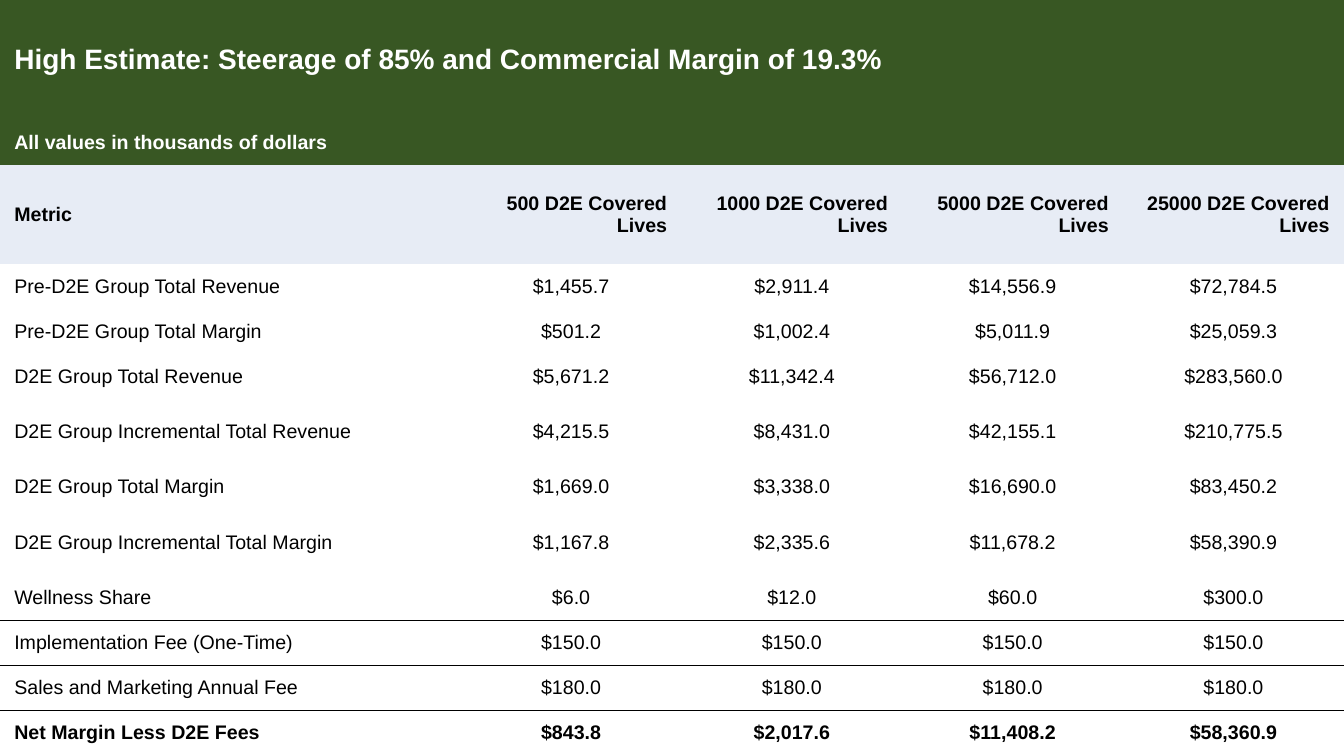
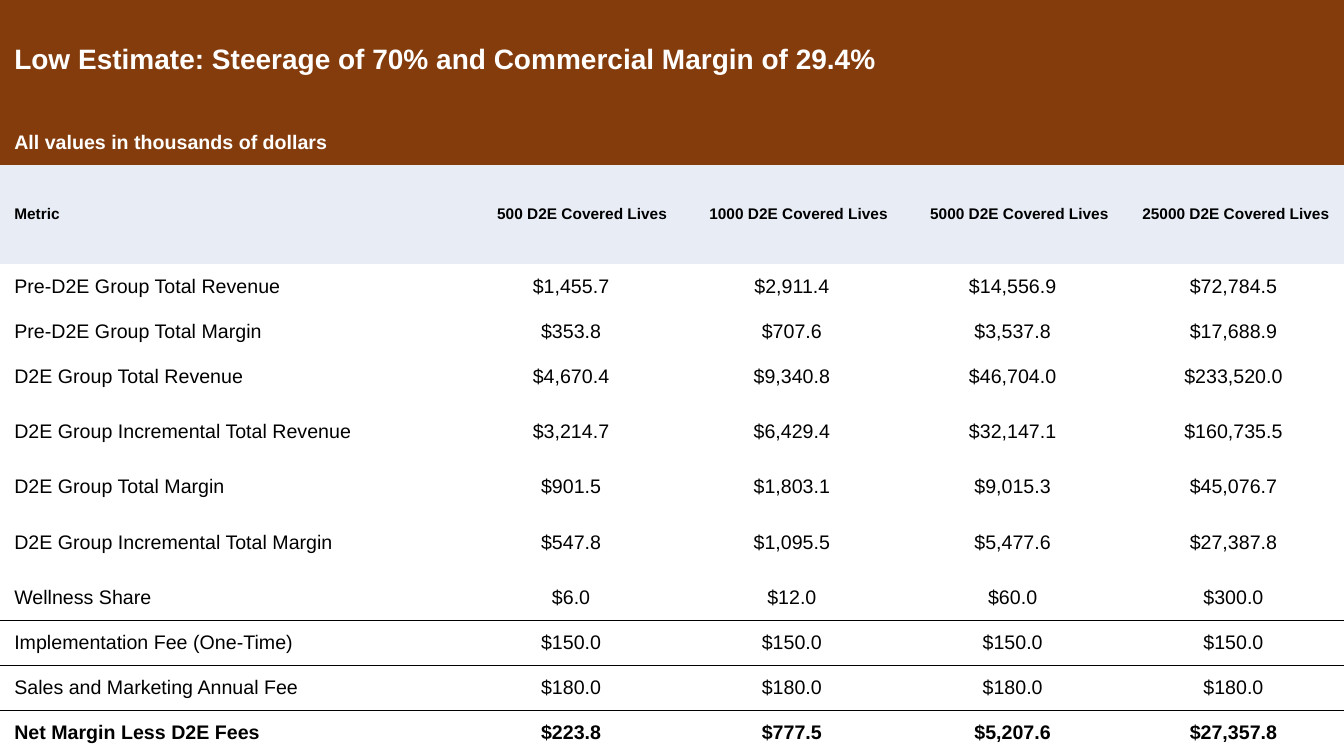
from dataclasses import dataclass

from lxml.etree import SubElement
from pptx import Presentation
from pptx.dml.color import RGBColor
from pptx.enum.text import MSO_ANCHOR, PP_ALIGN
from pptx.oxml import parse_xml
from pptx.oxml.ns import nsdecls, qn
from pptx.util import Cm, Pt


@dataclass(frozen=True)
class Theme:
    font: str = "Arial"
    green: str = "385723"
    brown: str = "843C0C"
    pale: str = "E7ECF5"
    white: str = "FFFFFF"
    black: str = "000000"
    title_size: int = 20
    body_size: int = 14
    small_size: int = 11
    rule_width: int = 1


@dataclass(frozen=True)
class Estimate:
    title: str
    band: str
    heading_size: int
    figures: dict


THEME = Theme()

# Page and table grid, in centimetres
WIDTH, HEIGHT = 33.87, 19.05
PADDING = 0.36
METRIC_WIDTH = 11.61
TITLE_HEIGHT, HEADING_HEIGHT, TALL_HEIGHT = 3.02, 2.49, 1.65
TITLE_ROW, NOTE_ROW, HEADING_ROW, FIRST_METRIC_ROW = range(4)

NOTE = "All values in thousands of dollars"
LIVES = (500, 1000, 5000, 25000)
METRICS = (
    "Pre-D2E Group Total Revenue",
    "Pre-D2E Group Total Margin",
    "D2E Group Total Revenue",
    "D2E Group Incremental Total Revenue",
    "D2E Group Total Margin",
    "D2E Group Incremental Total Margin",
    "Wellness Share",
    "Implementation Fee (One-Time)",
    "Sales and Marketing Annual Fee",
    "Net Margin Less D2E Fees",
)
TALL_METRICS = {
    "D2E Group Incremental Total Revenue",
    "D2E Group Incremental Total Margin",
}
RULED_METRICS = {"Wellness Share", "Sales and Marketing Annual Fee"}
NET_METRIC = METRICS[-1]

# Figures that do not depend on the estimate
SHARED_FIGURES = {
    "Pre-D2E Group Total Revenue": (1455.7, 2911.4, 14556.9, 72784.5),
    "Wellness Share": (6, 12, 60, 300),
    "Implementation Fee (One-Time)": (150,) * 4,
    "Sales and Marketing Annual Fee": (180,) * 4,
}

ESTIMATES = (
    Estimate(
        "High Estimate: Steerage of 85% and Commercial Margin of 19.3%",
        THEME.green,
        THEME.body_size,
        {
            "Pre-D2E Group Total Margin": (501.2, 1002.4, 5011.9, 25059.3),
            "D2E Group Total Revenue": (5671.2, 11342.4, 56712, 283560),
            "D2E Group Incremental Total Revenue": (4215.5, 8431, 42155.1, 210775.5),
            "D2E Group Total Margin": (1669, 3338, 16690, 83450.2),
            "D2E Group Incremental Total Margin": (1167.8, 2335.6, 11678.2, 58390.9),
            "Net Margin Less D2E Fees": (843.8, 2017.6, 11408.2, 58360.9),
        },
    ),
    Estimate(
        "Low Estimate: Steerage of 70% and Commercial Margin of 29.4%",
        THEME.brown,
        THEME.small_size,
        {
            "Pre-D2E Group Total Margin": (353.8, 707.6, 3537.8, 17688.9),
            "D2E Group Total Revenue": (4670.4, 9340.8, 46704, 233520),
            "D2E Group Incremental Total Revenue": (3214.7, 6429.4, 32147.1, 160735.5),
            "D2E Group Total Margin": (901.5, 1803.1, 9015.3, 45076.7),
            "D2E Group Incremental Total Margin": (547.8, 1095.5, 5477.6, 27387.8),
            "Net Margin Less D2E Fees": (223.8, 777.5, 5207.6, 27357.8),
        },
    ),
)


def write_cell(cell, text, size=THEME.body_size, color=THEME.black, bold=False,
               align=PP_ALIGN.LEFT, fill=None):
    cell.margin_left = cell.margin_right = Cm(PADDING)
    cell.margin_top = cell.margin_bottom = 0
    cell.vertical_anchor = MSO_ANCHOR.MIDDLE
    if fill:
        cell.fill.solid()
        cell.fill.fore_color.rgb = RGBColor.from_string(fill)
    else:
        cell.fill.background()
    cell.text = text
    paragraph = cell.text_frame.paragraphs[0]
    paragraph.alignment = align
    font = paragraph.font
    font.name = THEME.font
    font.size = Pt(size)
    font.bold = bold
    font.color.rgb = RGBColor.from_string(color)


def draw_border(cell, side):
    """Rule one side of a cell: "T" for top, "B" for bottom."""
    border = parse_xml(f'<a:ln{side} {nsdecls("a")} w="{Pt(THEME.rule_width)}"/>')
    fill = SubElement(border, qn("a:solidFill"))
    SubElement(fill, qn("a:srgbClr"), val=THEME.black)
    # Borders come before the fill in the cell properties
    cell._tc.get_or_add_tcPr().insert(0, border)


def write_band(table, row, text, size, fill):
    cell = table.cell(row, 0)
    cell.merge(table.cell(row, len(LIVES)))
    write_cell(cell, text, size, THEME.white, True, fill=fill)


def write_row(table, row, label, entries, align, **style):
    write_cell(table.cell(row, 0), label, **style)
    for column, entry in enumerate(entries, start=1):
        write_cell(table.cell(row, column), entry, align=align, **style)


def size_grid(table):
    table.columns[0].width = Cm(METRIC_WIDTH)
    for column in range(1, len(LIVES) + 1):
        table.columns[column].width = Cm((WIDTH - METRIC_WIDTH) / len(LIVES))

    # The remaining rows share the height left by the large ones
    heights = {TITLE_ROW: TITLE_HEIGHT, HEADING_ROW: HEADING_HEIGHT}
    for row, metric in enumerate(METRICS, start=FIRST_METRIC_ROW):
        if metric in TALL_METRICS:
            heights[row] = TALL_HEIGHT
    row_count = len(table.rows)
    common = (HEIGHT - sum(heights.values())) / (row_count - len(heights))
    for row in range(row_count):
        table.rows[row].height = Cm(heights.get(row, common))


def add_plain_table(page):
    frame = page.shapes.add_table(
        FIRST_METRIC_ROW + len(METRICS), 1 + len(LIVES),
        0, 0, Cm(WIDTH), Cm(HEIGHT))
    table = frame.table
    table.first_row = table.horz_banding = False
    # Built-in style without fills or grid
    style = table._tbl.tblPr.find(qn("a:tableStyleId"))
    style.text = "{2D5ABB26-0587-4C30-8999-92F81FD0307C}"
    size_grid(table)
    return table


def add_estimate(deck, estimate):
    page = deck.slides.add_slide(deck.slide_layouts[6])
    table = add_plain_table(page)

    # Title bands and column headings
    write_band(table, TITLE_ROW, estimate.title, THEME.title_size, estimate.band)
    write_band(table, NOTE_ROW, NOTE, THEME.body_size, estimate.band)
    headings = [f"{lives} D2E Covered Lives" for lives in LIVES]
    write_row(table, HEADING_ROW, "Metric", headings, PP_ALIGN.RIGHT,
              size=estimate.heading_size, bold=True, fill=THEME.pale)

    # Metrics
    figures = SHARED_FIGURES | estimate.figures
    for row, metric in enumerate(METRICS, start=FIRST_METRIC_ROW):
        amounts = [f"${amount:,.1f}" for amount in figures[metric]]
        write_row(table, row, metric, amounts, PP_ALIGN.CENTER,
                  bold=metric == NET_METRIC)

    # Rules between the groups of metrics
    for row, metric in enumerate(METRICS, start=FIRST_METRIC_ROW):
        if metric in RULED_METRICS:
            for column in range(len(LIVES) + 1):
                draw_border(table.cell(row, column), "B")
                draw_border(table.cell(row + 1, column), "T")


def main():
    deck = Presentation()
    deck.slide_width, deck.slide_height = Cm(WIDTH), Cm(HEIGHT)
    for estimate in ESTIMATES:
        add_estimate(deck, estimate)
    deck.save("out.pptx")


if __name__ == "__main__":
    main()
